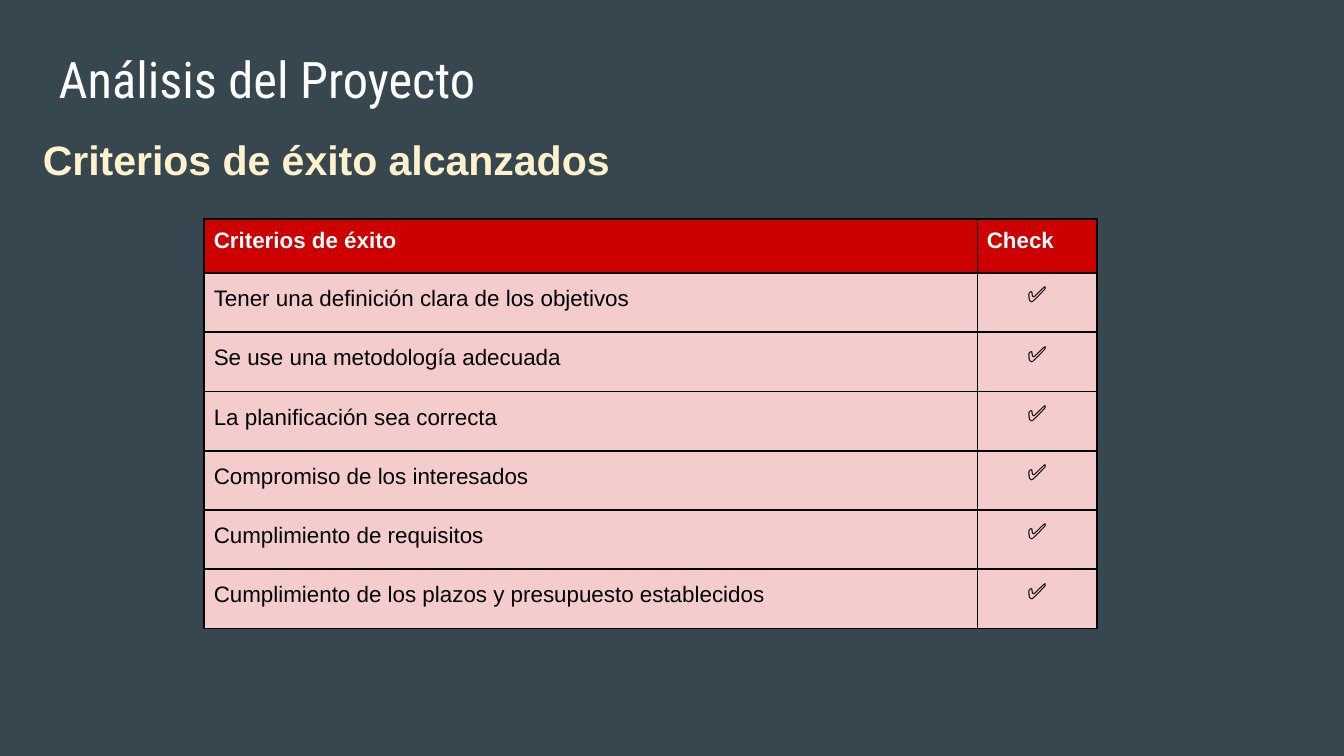
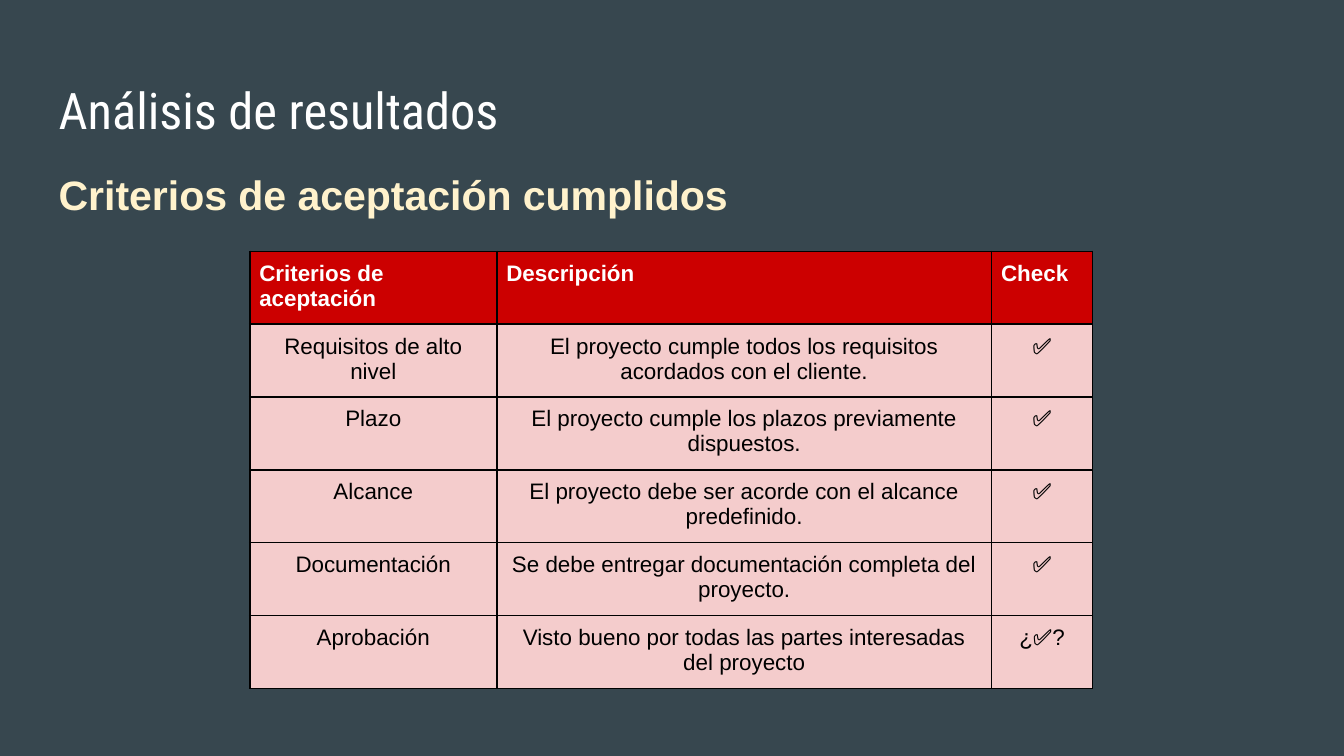
"""Builds two slides that tick off the success and acceptance criteria of a project."""
from lxml.etree import SubElement
from pptx import Presentation
from pptx.dml.color import RGBColor
from pptx.enum.text import MSO_ANCHOR as Anchor, MSO_AUTO_SIZE as AutoSize, PP_ALIGN as Align
from pptx.oxml import parse_xml
from pptx.oxml.ns import nsdecls, qn
from pptx.util import Cm, Pt

CHECK = "✅"
SLIDES = [
    {
        "title": ("Análisis del Proyecto", (0.86, 0.66, 23.67, 1.6)),
        "subtitle": ("Criterios de éxito alcanzados", (0.56, 2.16, 15.72, 1.45)),
        "table_at": (3.86, 4.14),
        "widths": (14.61, 2.26),
        "heights": (1.02, 1.12),
        "first_column": {"alignment": Align.JUSTIFY, "line_spacing": 1.15},
        "header": ("Criterios de éxito", "Check"),
        "rows": [
            ("Tener una definición clara de los objetivos", CHECK),
            ("Se use una metodología adecuada", CHECK),
            ("La planificación sea correcta", CHECK),
            ("Compromiso de los interesados", CHECK),
            ("Cumplimiento de requisitos", CHECK),
            ("Cumplimiento de los plazos y presupuesto establecidos", CHECK),
        ],
    },
    {
        "title": ("Análisis de resultados", (0.86, 1.24, 23.67, 1.6)),
        "subtitle": ("Criterios de aceptación cumplidos", (0.86, 2.82, 17.35, 1.45)),
        "table_at": (4.72, 4.75),
        "widths": (4.67, 9.35, 1.91),
        "heights": (1.37, 1.37),
        "first_column": {"alignment": Align.CENTER},
        "header": ("Criterios de aceptación", "Descripción", "Check"),
        "rows": [
            ("Requisitos de alto nivel", "El proyecto cumple todos los requisitos acordados con el cliente.", CHECK),
            ("Plazo", "El proyecto cumple los plazos previamente dispuestos.", CHECK),
            ("Alcance", "El proyecto debe ser acorde con el alcance predefinido.", CHECK),
            ("Documentación", "Se debe entregar documentación completa del proyecto.", CHECK),
            ("Aprobación", "Visto bueno por todas las partes interesadas del proyecto", "¿✅?"),
        ],
    },
]

BACKGROUND, HEADER_FILL, BODY_FILL, BORDER = "37474F", "CC0000", "F4CCCC", "000000"
TITLE = {"name": "Roboto Condensed", "size": Pt(27), "color": "FFFFFF"}
SUBTITLE = {"name": "Arial", "size": Pt(22), "bold": True, "color": "FFF2CC"}
HEADER = {"name": "Arial", "size": Pt(12), "bold": True, "color": "FFFFFF"}
BODY = {"name": "Arial", "size": Pt(12), "bold": False, "color": "000000"}
SUBTITLE_PARA = {"alignment": Align.JUSTIFY, "line_spacing": 1.15,
                 "space_before": Pt(20), "space_after": Pt(6)}
MARGINS = ("margin_left", "margin_right", "margin_top", "margin_bottom")


def paint(fill, color):
    fill.solid()
    fill.fore_color.rgb = RGBColor.from_string(color)


def write(frame, text, font, para_format):
    para = frame.paragraphs[0]
    for key, value in para_format.items():
        setattr(para, key, value)
    span = para.add_run()
    span.text = text
    for key, value in font.items():
        if key == "color":
            span.font.color.rgb = RGBColor.from_string(value)
        else:
            setattr(span.font, key, value)


def add_text(page, text, place, font, para_format, auto_size=AutoSize.NONE):
    frame = page.shapes.add_textbox(*map(Cm, place)).text_frame
    frame.word_wrap = True
    frame.auto_size = auto_size
    for margin in MARGINS:
        setattr(frame, margin, Cm(0.25))
    write(frame, text, font, para_format)


def add_borders(cell):
    properties = cell._tc.get_or_add_tcPr()
    for index, side in enumerate(("lnL", "lnR", "lnT", "lnB")):
        line = parse_xml(f'<a:{side} {nsdecls("a")} w="{Pt(1)}"/>')
        SubElement(SubElement(line, qn("a:solidFill")), qn("a:srgbClr"), val=BORDER)
        properties.insert(index, line)


def add_criteria(page, content):
    rows = [content["header"], *content["rows"]]
    widths = content["widths"]
    header_height, body_height = content["heights"]
    heights = [header_height] + [body_height] * len(content["rows"])
    size = (sum(widths), sum(heights))
    table = page.shapes.add_table(len(rows), len(widths),
                                  *map(Cm, content["table_at"] + size)).table
    table.first_row = table.horz_banding = False
    for column, width in zip(table.columns, widths):
        column.width = Cm(width)
    for r, (row, height) in enumerate(zip(rows, heights)):
        table.rows[r].height = Cm(height)
        for c, text in enumerate(row):
            cell = table.cell(r, c)
            cell.vertical_anchor = Anchor.TOP
            for margin in MARGINS:
                setattr(cell, margin, Cm(0.18))
            paint(cell.fill, BODY_FILL if r else HEADER_FILL)
            add_borders(cell)
            if r == 0:
                write(cell.text_frame, text, HEADER, {"alignment": Align.LEFT})
            else:
                centred = {"alignment": Align.CENTER}
                write(cell.text_frame, text, BODY, centred if c else content["first_column"])


def main():
    deck = Presentation()
    deck.slide_width, deck.slide_height = Cm(25.4), Cm(14.29)
    for content in SLIDES:
        page = deck.slides.add_slide(deck.slide_layouts[6])
        paint(page.background.fill, BACKGROUND)
        add_text(page, *content["title"], TITLE, {"alignment": Align.LEFT})
        add_text(page, *content["subtitle"], SUBTITLE, SUBTITLE_PARA, AutoSize.SHAPE_TO_FIT_TEXT)
        add_criteria(page, content)
    deck.save("out.pptx")


if __name__ == "__main__":
    main()
